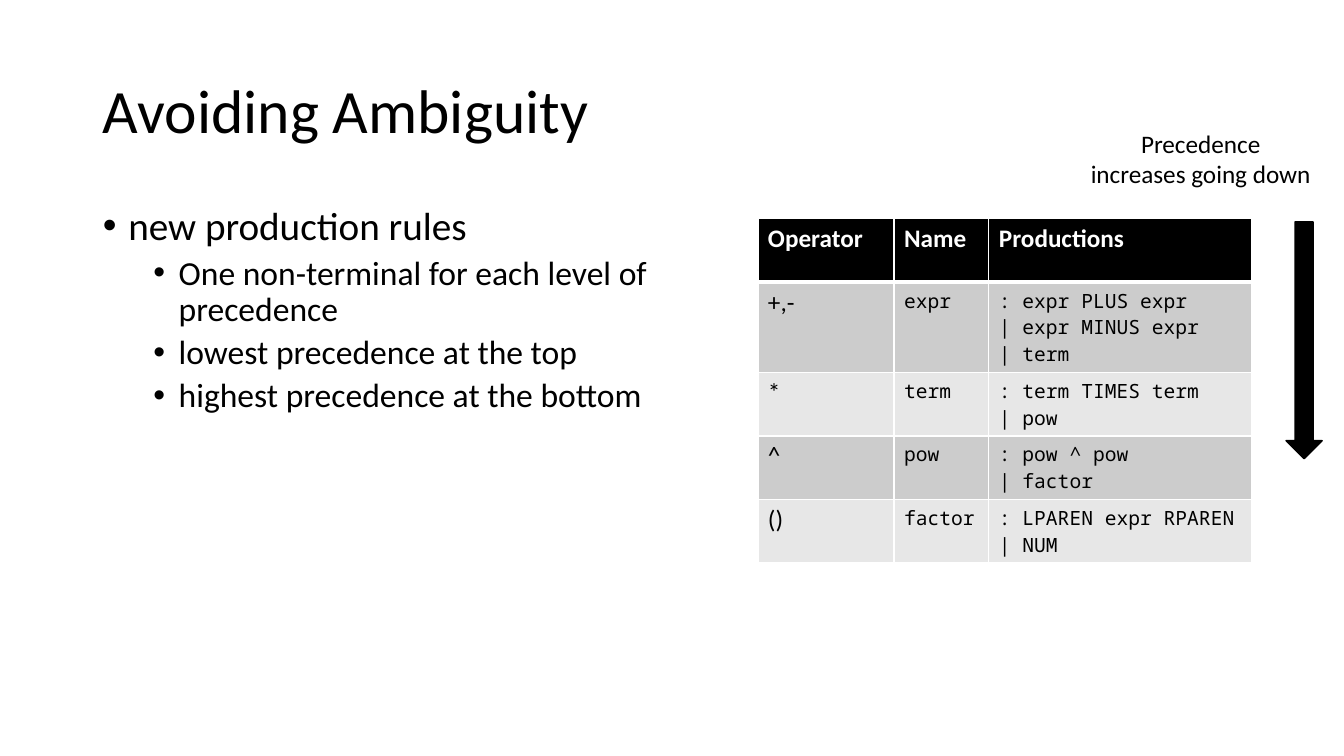
from lxml import etree
from pptx import Presentation
from pptx.dml.color import RGBColor
from pptx.enum.shapes import MSO_SHAPE
from pptx.enum.text import MSO_ANCHOR, MSO_AUTO_SIZE, PP_ALIGN
from pptx.oxml.ns import qn
from pptx.util import Cm, Pt

DOWN_ARROW = MSO_SHAPE.DOWN_ARROW
MIDDLE, TOP = MSO_ANCHOR.MIDDLE, MSO_ANCHOR.TOP
LEFT, CENTER = PP_ALIGN.LEFT, PP_ALIGN.CENTER
NO_AUTOFIT = MSO_AUTO_SIZE.NONE

TEXT_FONT, CODE_FONT = "Calibri", "Noto Sans Mono"
BLACK, WHITE = "000000", "FFFFFF"
BANDS = ["CCCCCC", "E7E7E7"]

BULLETS = [
    (0, "new production rules"),
    (1, "One non-terminal for each level of precedence"),
    (1, "lowest precedence at the top"),
    (1, "highest precedence at the bottom"),
]
# Text size, left margin and space before for each bullet level
LEVELS = [(28, 0.64, 10), (24, 1.91, 5)]
BULLET_HANG = 0.64

HEADINGS = ["Operator", "Name", "Productions"]
GRAMMAR = [
    ("+,-", "expr", [": expr PLUS expr", "| expr MINUS expr", "| term"]),
    ("*", "term", [": term TIMES term", "| pow"]),
    ("^", "pow", [": pow ^ pow", "| factor"]),
    ("()", "factor", [": LPAREN expr RPAREN", "| NUM"]),
]
COLUMN_WIDTHS = [3.43, 2.39, 6.63]
ROW_HEIGHT = 1.6


def color(value):
    return RGBColor.from_string(value)


def place(shape, box):
    shape.left, shape.top, shape.width, shape.height = [Cm(length) for length in box]


def add_run(paragraph, text, size, font=TEXT_FONT, fill=BLACK, bold=False):
    run = paragraph.add_run()
    run.text = text
    run.font.name = font
    run.font.size = Pt(size)
    run.font.bold = bold
    run.font.color.rgb = color(fill)


def add_bullet(paragraph, margin):
    properties = paragraph._p.get_or_add_pPr()
    properties.set("marL", str(Cm(margin)))
    properties.set("indent", str(-Cm(BULLET_HANG)))
    etree.SubElement(properties, qn("a:buFont")).set("typeface", "Arial")
    etree.SubElement(properties, qn("a:buChar")).set("char", "•")


def add_borders(cell, **widths):
    properties = cell._tc.get_or_add_tcPr()
    for side in "LRTB":
        width = widths.get(side, 1)
        line = etree.SubElement(properties, qn(f"a:ln{side}"), w=str(Pt(width)))
        fill = etree.SubElement(line, qn("a:solidFill"))
        etree.SubElement(fill, qn("a:srgbClr"), val=WHITE)


def fill_title(title, box):
    place(title, box)
    frame = title.text_frame
    frame.vertical_anchor = MIDDLE
    frame.auto_size = NO_AUTOFIT
    paragraph = frame.paragraphs[0]
    paragraph.alignment = LEFT
    paragraph.line_spacing = 0.9
    add_run(paragraph, "Avoiding Ambiguity", 44)


def fill_body(body, box):
    place(body, box)
    frame = body.text_frame
    frame.vertical_anchor = TOP
    frame.auto_size = NO_AUTOFIT
    for index, (level, text) in enumerate(BULLETS):
        size, margin, space = LEVELS[level]
        paragraph = frame.add_paragraph() if index else frame.paragraphs[0]
        paragraph.level = level
        paragraph.line_spacing = 0.9
        paragraph.space_before = Pt(space if index else 0)
        add_bullet(paragraph, margin)
        add_run(paragraph, text, size)


def add_grammar_table(slide, left, top):
    row_count = len(GRAMMAR) + 1
    table = slide.shapes.add_table(
        row_count, len(HEADINGS), Cm(left), Cm(top),
        Cm(sum(COLUMN_WIDTHS)), Cm(ROW_HEIGHT * row_count)).table
    table.horz_banding = False
    for column, width in zip(table.columns, COLUMN_WIDTHS):
        column.width = Cm(width)
    for row in table.rows:
        row.height = Cm(ROW_HEIGHT)

    # Header row
    for column, heading in enumerate(HEADINGS):
        cell = table.cell(0, column)
        add_borders(cell, B=3)
        cell.fill.solid()
        cell.fill.fore_color.rgb = color(BLACK)
        add_run(cell.text_frame.paragraphs[0], heading, 18, fill=WHITE, bold=True)

    # One row for each level of precedence
    for row, (operator, name, productions) in enumerate(GRAMMAR, start=1):
        for column, lines in enumerate([[operator], [name], productions]):
            cell = table.cell(row, column)
            add_borders(cell, T=3 if row == 1 else 1)
            cell.fill.solid()
            cell.fill.fore_color.rgb = color(BANDS[(row - 1) % 2])
            size, font = (14, CODE_FONT) if column else (18, TEXT_FONT)
            paragraph = cell.text_frame.paragraphs[0]
            for index, line in enumerate(lines):
                if index:
                    paragraph.add_line_break()
                add_run(paragraph, line, size, font)


def add_precedence_label(slide, box):
    frame = slide.shapes.add_textbox(*[Cm(length) for length in box]).text_frame
    frame.word_wrap = False
    for index, text in enumerate(["Precedence", "increases going down"]):
        paragraph = frame.add_paragraph() if index else frame.paragraphs[0]
        paragraph.alignment = CENTER
        add_run(paragraph, text, 18)


def add_precedence_arrow(slide, box):
    arrow = slide.shapes.add_shape(DOWN_ARROW, *[Cm(length) for length in box])
    arrow.shadow.inherit = False
    arrow.fill.solid()
    arrow.fill.fore_color.rgb = color(BLACK)
    arrow.line.color.rgb = color(BLACK)
    arrow.line.width = Pt(1)


def main():
    presentation = Presentation()
    presentation.slide_width = Cm(33.87)
    presentation.slide_height = Cm(19.05)
    slide = presentation.slides.add_slide(presentation.slide_layouts[1])
    fill_title(slide.shapes.title, (2.34, 1.02, 29.21, 3.68))
    fill_body(slide.placeholders[1], (2.34, 5.08, 16.23, 12.95))
    add_grammar_table(slide, 19.1, 5.51)
    add_precedence_arrow(slide, (32.41, 5.59, 0.91, 5.97))
    add_precedence_label(slide, (27.2, 3.1, 6.12, 1.8))
    presentation.save("out.pptx")


if __name__ == "__main__":
    main()
